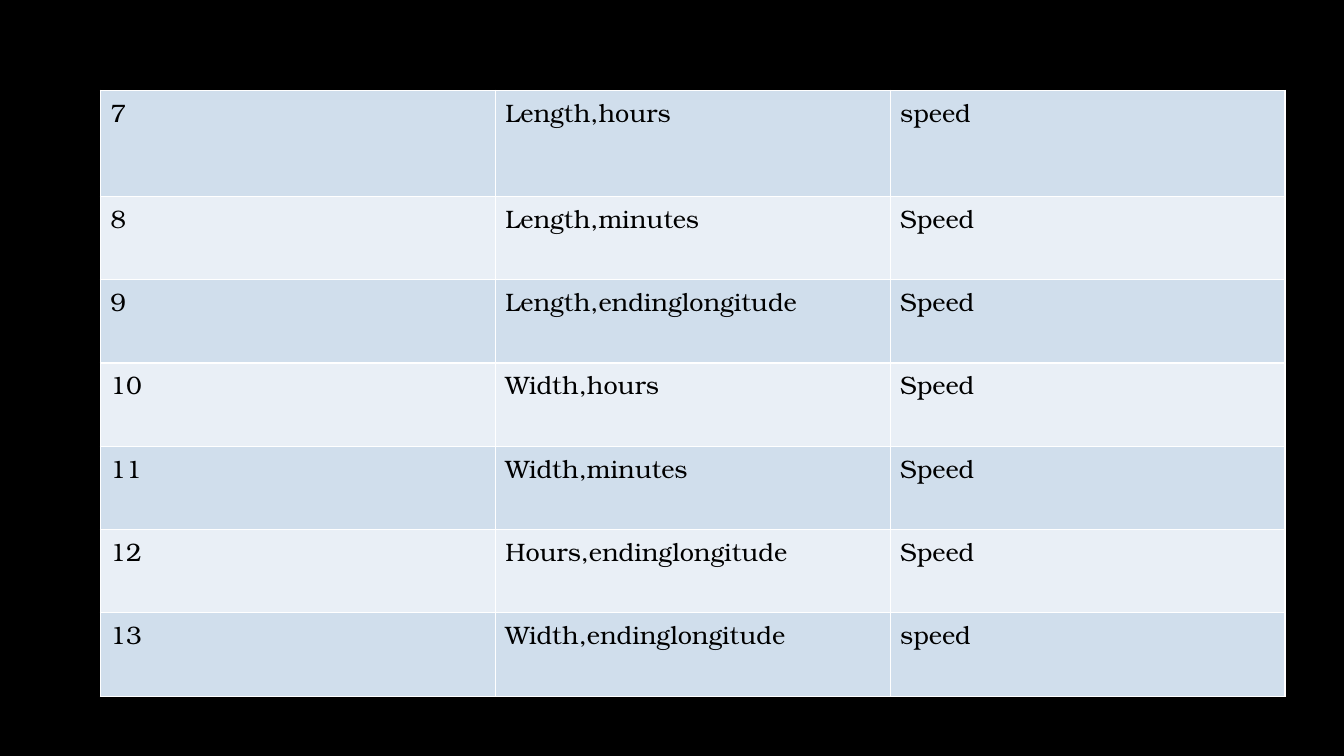
from dataclasses import dataclass

from lxml.etree import SubElement
from pptx import Presentation
from pptx.dml.color import RGBColor
from pptx.oxml.ns import qn
from pptx.util import Pt


@dataclass(frozen=True)
class Theme:
    """Colours, font and sizes of the slide."""
    background: str = "000000"
    text: str = "000000"
    border: str = "FFFFFF"
    bands: tuple = ("D0DEEC", "E9EFF6")
    font: str = "TeX Gyre Bonum"
    body: float = 18
    border_width: float = 1


def write(tf, text, *, font, size, color):
    """Put one formatted run in a text frame."""
    p = tf.paragraphs[0]
    r = p.add_run()
    r.text = text
    r.font.name = font
    r.font.size = Pt(size)
    r.font.color.rgb = RGBColor.from_string(color)


class SlideBuilder:
    """Draw elements on one slide in one theme."""

    def __init__(self, s, theme):
        """Keep the slide and its theme."""
        self.s = s
        self.theme = theme

    def background(self):
        """Fill the slide background."""
        fill = self.s.background.fill
        fill.solid()
        fill.fore_color.rgb = RGBColor.from_string(self.theme.background)

    def borders(self, cell):
        """Line all four sides of a cell."""
        tcPr = cell._tc.get_or_add_tcPr()
        for side in ("lnL", "lnR", "lnT", "lnB"):
            ln = SubElement(tcPr, qn(f"a:{side}"), w=str(Pt(self.theme.border_width)))
            fill = SubElement(ln, qn("a:solidFill"))
            SubElement(fill, qn("a:srgbClr"), val=self.theme.border)

    def cell(self, cell, text, band):
        """Style and write one table cell."""
        self.borders(cell)
        cell.fill.solid()
        cell.fill.fore_color.rgb = RGBColor.from_string(band)
        write(cell.text_frame, text, font=self.theme.font,
              size=self.theme.body, color=self.theme.text)

    def table(self, rows, left, top, col_width, heights):
        """Add a table with alternating row colours."""
        cols = len(rows[0])
        table = self.s.shapes.add_table(
            len(rows), cols, Pt(left), Pt(top),
            Pt(col_width * cols), Pt(sum(heights))).table
        table.first_row = False
        table.horz_banding = False
        for column in table.columns:
            column.width = Pt(col_width)
        for i, (values, height) in enumerate(zip(rows, heights)):
            table.rows[i].height = Pt(height)
            band = self.theme.bands[i % len(self.theme.bands)]
            for j, text in enumerate(values):
                self.cell(table.cell(i, j), text, band)


ROWS = [
    ("7", "Length,hours", "speed"),
    ("8", "Length,minutes", "Speed"),
    ("9", "Length,endinglongitude", "Speed"),
    ("10", "Width,hours", "Speed"),
    ("11", "Width,minutes", "Speed"),
    ("12", "Hours,endinglongitude", "Speed"),
    ("13", "Width,endinglongitude", "speed"),
]


def main():
    """Build and save the slide."""
    prs = Presentation()
    prs.slide_width, prs.slide_height = Pt(960), Pt(540)
    s = prs.slides.add_slide(prs.slide_layouts[6])
    builder = SlideBuilder(s, Theme())
    builder.background()
    heights = [75.6] + [59.5] * (len(ROWS) - 1)
    builder.table(ROWS, left=71.7, top=64.7, col_width=282.1, heights=heights)
    prs.save("out.pptx")


if __name__ == "__main__":
    main()
